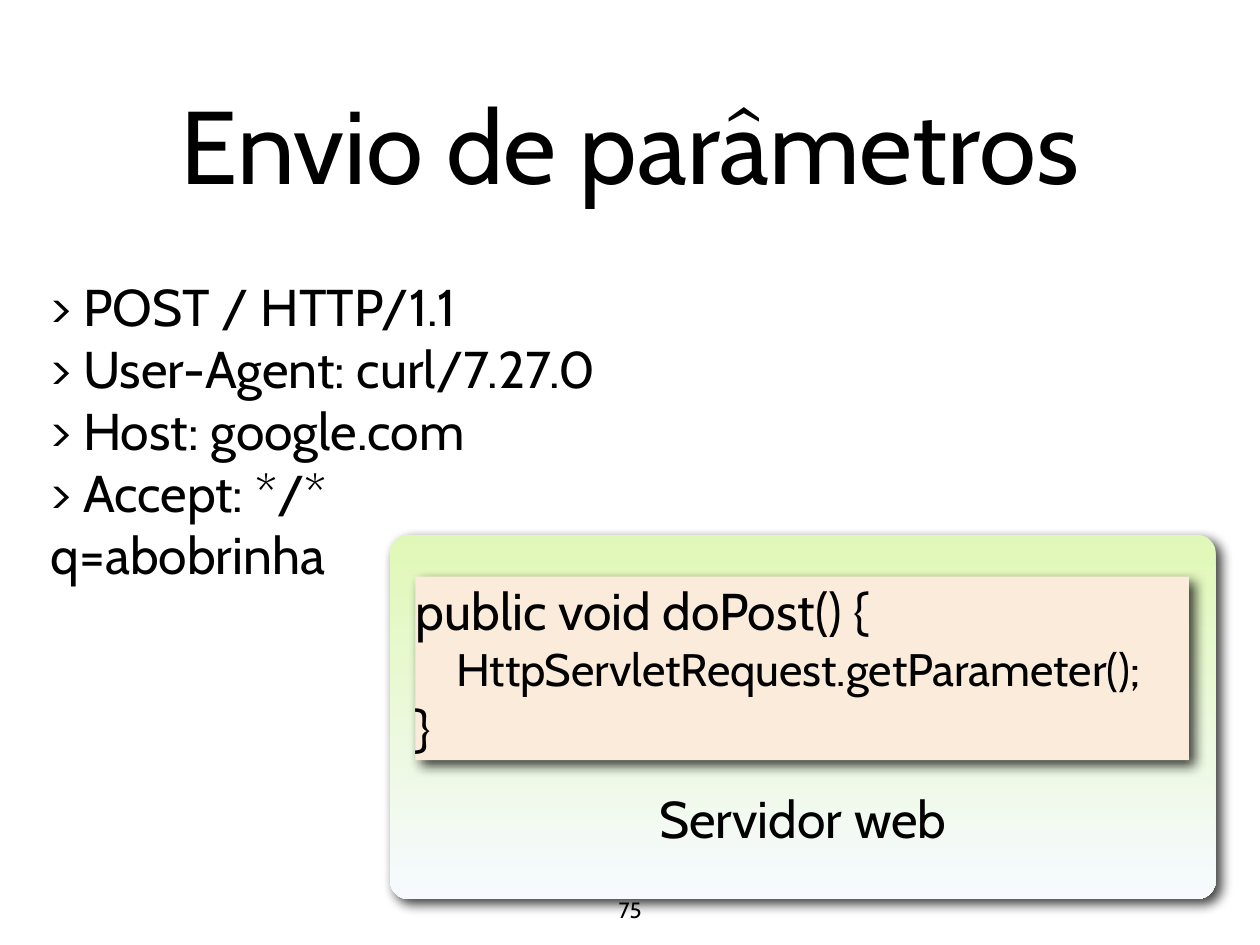
from dataclasses import dataclass

from lxml.etree import SubElement
from pptx import Presentation
from pptx.dml.color import RGBColor
from pptx.enum.shapes import MSO_SHAPE as Kind
from pptx.enum.text import MSO_ANCHOR as Anchor, MSO_AUTO_SIZE as Fit, PP_ALIGN as Align
from pptx.oxml.ns import qn
from pptx.shapes.autoshape import Shape
from pptx.slide import Slide
from pptx.util import Cm, Pt

BLACK = RGBColor(0x00, 0x00, 0x00)
LIME = RGBColor(0xE0, 0xF8, 0xB7)
ICE = RGBColor(0xF6, 0xFA, 0xFF)
PEACH = RGBColor(0xFB, 0xEB, 0xDB)
FONT = "Cabin"


@dataclass(frozen=True)
class Box:
    left: float
    top: float
    width: float
    height: float


@dataclass(frozen=True)
class Label:
    box: Box
    lines: tuple[tuple[str, float], ...]
    align: Align = Align.LEFT
    anchor: Anchor = Anchor.MIDDLE
    wrap: bool = True
    fit: Fit = Fit.SHAPE_TO_FIT_TEXT


SERVER = Box(11.18, 15.34, 23.67, 10.44)
CODE = Label(
    Box(11.91, 16.54, 22.17, 5.26),
    (
        ("public void doPost() {", 42),
        ("    HttpServletRequest.getParameter();", 37),
        ("}", 42),
    ),
)
REQUEST = (
    "> POST / HTTP/1.1",
    "> User-Agent: curl/7.27.0",
    "> Host: google.com",
    "> Accept: */*",
    "q=abobrinha",
)
LABELS = (
    Label(Box(17.86, 22.4, 10.31, 2.08), (("Servidor web", 42),), Align.CENTER, wrap=False),
    Label(Box(17.58, 25.7, 0.97, 1.02), (("75", 18),), Align.CENTER, Anchor.TOP, False),
    Label(Box(3.53, 0.71, 29.06, 6.78), (("Envio de parâmetros", 84),), Align.CENTER, fit=Fit.NONE),
    Label(Box(1.45, 7.87, 21.64, 8.92), tuple((line, 42) for line in REQUEST)),
)


def place(box: Box) -> tuple[Cm, Cm, Cm, Cm]:
    return Cm(box.left), Cm(box.top), Cm(box.width), Cm(box.height)


def write(shape: Shape, label: Label) -> None:
    frame = shape.text_frame
    frame.margin_left = frame.margin_top = frame.margin_right = frame.margin_bottom = 0
    frame.vertical_anchor = label.anchor
    frame.word_wrap = label.wrap
    frame.auto_size = label.fit
    for index, (text, size) in enumerate(label.lines):
        para = frame.add_paragraph() if index else frame.paragraphs[0]
        para.text = text
        para.alignment = label.align
        para.font.name = FONT
        para.font.size = Pt(size)
        para.font.color.rgb = BLACK


def add_label(slide: Slide, label: Label) -> None:
    write(slide.shapes.add_textbox(*place(label.box)), label)


def add_panel(slide: Slide, kind: Kind, box: Box) -> Shape:
    panel = slide.shapes.add_shape(kind, *place(box))
    panel.line.fill.background()
    return panel


def add_shadow(shape: Shape) -> None:
    shape.shadow.inherit = False
    effects = shape.element.spPr.find(qn("a:effectLst"))
    outer = SubElement(
        effects, qn("a:outerShdw"),
        blurRad=str(Pt(10)), dist=str(Pt(6)), dir="2700000", rotWithShape="0",
    )
    color = SubElement(outer, qn("a:srgbClr"), val=str(BLACK))
    SubElement(color, qn("a:alpha"), val="75000")


def main() -> None:
    deck = Presentation()
    deck.slide_width, deck.slide_height = Cm(36.12), Cm(27.1)
    slide = deck.slides.add_slide(deck.slide_layouts[6])

    server = add_panel(slide, Kind.ROUNDED_RECTANGLE, SERVER)
    server.adjustments[0] = 0.05
    server.fill.gradient()
    server.fill.gradient_angle = 270
    for stop, color in zip(server.fill.gradient_stops, (LIME, ICE)):
        stop.color.rgb = color
    add_shadow(server)

    code = add_panel(slide, Kind.RECTANGLE, CODE.box)
    code.fill.solid()
    code.fill.fore_color.rgb = PEACH
    add_shadow(code)
    write(code, CODE)

    for label in LABELS:
        add_label(slide, label)

    deck.save("out.pptx")


if __name__ == "__main__":
    main()
